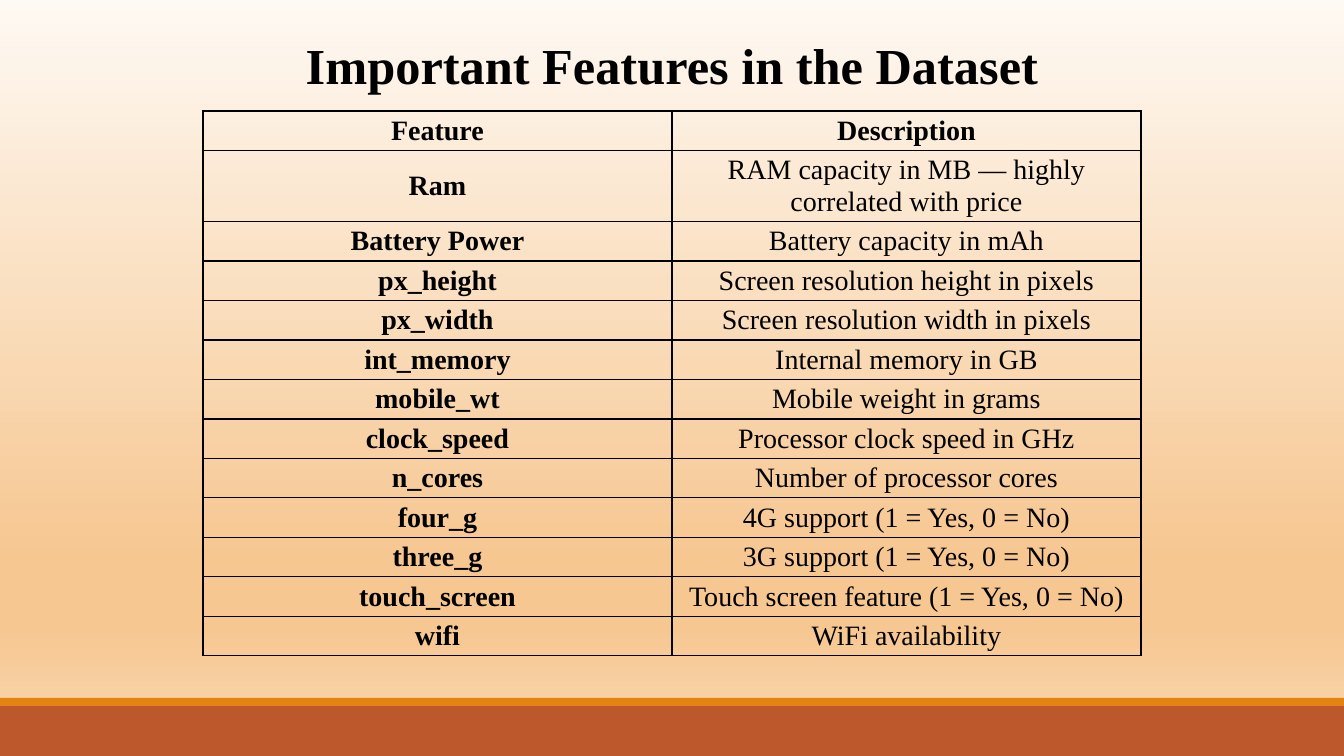
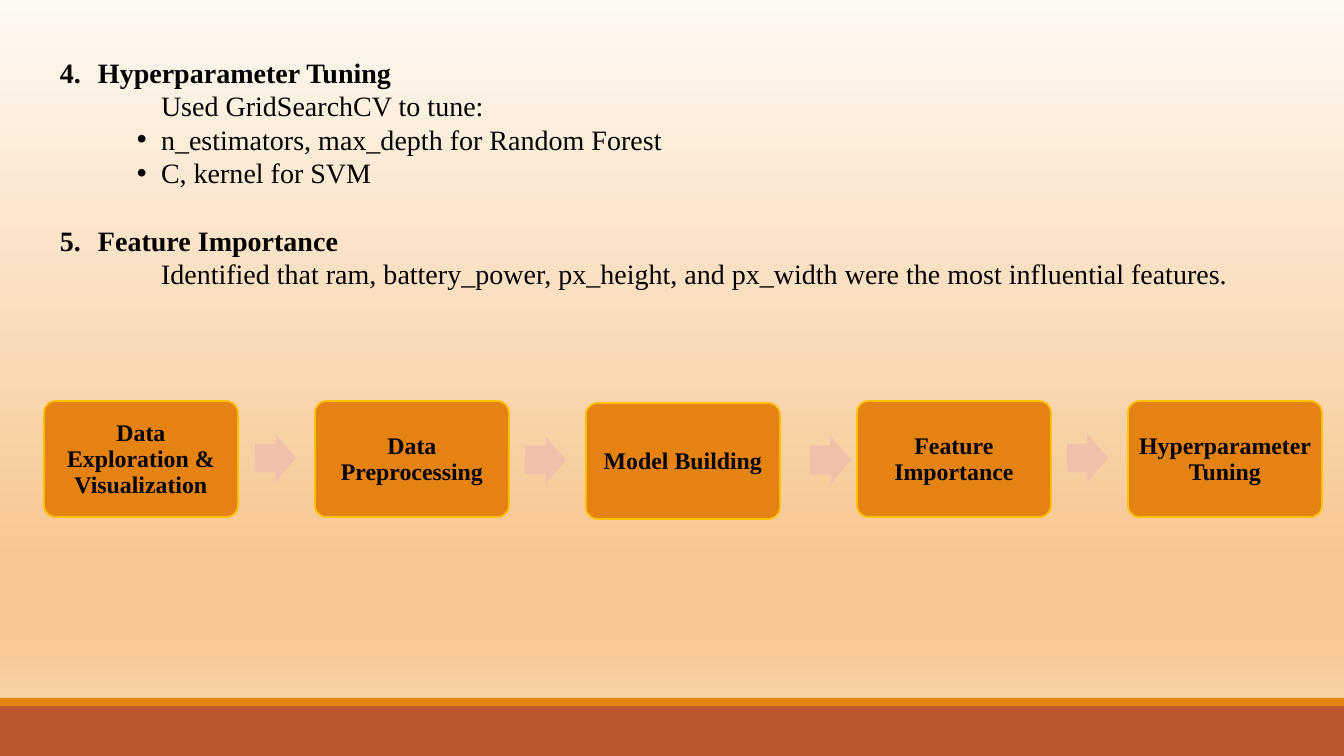
from dataclasses import dataclass

from lxml import etree
from pptx import Presentation
from pptx.dml.color import RGBColor
from pptx.enum.shapes import MSO_SHAPE
from pptx.enum.text import MSO_ANCHOR, MSO_AUTO_SIZE, PP_ALIGN
from pptx.oxml.ns import qn
from pptx.util import Emu, Pt

RECT = MSO_SHAPE.RECTANGLE
ROUNDED = MSO_SHAPE.ROUNDED_RECTANGLE
ARROW = MSO_SHAPE.RIGHT_ARROW
MIDDLE = MSO_ANCHOR.MIDDLE
CENTER = PP_ALIGN.CENTER
NO_AUTOSIZE = MSO_AUTO_SIZE.NONE

FONT = "Times New Roman"
BLACK = RGBColor(0x00, 0x00, 0x00)
BRICK = RGBColor(0xBD, 0x58, 0x2C)
ORANGE = RGBColor(0xE4, 0x83, 0x12)
GOLD = RGBColor(0xFF, 0xC0, 0x00)
PINK = RGBColor(0xEF, 0xC1, 0xAB)
CREAM = RGBColor(0xFE, 0xF9, 0xF3)
PEACH = RGBColor(0xF6, 0xC7, 0x91)
SAND = RGBColor(0xF9, 0xDA, 0xB6)
BACKGROUND_STOPS = [(0, CREAM), (74, PEACH), (83, PEACH), (100, SAND)]

SLIDE_W, SLIDE_H = 1344, 756
TITLE_ONLY, BLANK = 5, 6


@dataclass(frozen=True)
class Band:
    top: int
    height: int
    color: RGBColor


@dataclass(frozen=True)
class OutlineItem:
    text: str
    number: int = 0
    bullet: bool = False
    space_before: int = 0


@dataclass(frozen=True)
class Step:
    label: str
    top: int = 401
    arrow_gap: int = 0
    arrow_top: int = 434
    arrow_rotation: float = 0


BANDS = [Band(706, 50, BRICK), Band(698, 8, ORANGE)]

FEATURES = [
    ("Feature", "Description"),
    ("Ram", "RAM capacity in MB — highly correlated with price"),
    ("Battery Power", "Battery capacity in mAh"),
    ("px_height", "Screen resolution height in pixels"),
    ("px_width", "Screen resolution width in pixels"),
    ("int_memory", "Internal memory in GB"),
    ("mobile_wt", "Mobile weight in grams"),
    ("clock_speed", "Processor clock speed in GHz"),
    ("n_cores", "Number of processor cores"),
    ("four_g", "4G support (1 = Yes, 0 = No)"),
    ("three_g", "3G support (1 = Yes, 0 = No)"),
    ("touch_screen", "Touch screen feature (1 = Yes, 0 = No)"),
    ("wifi", "WiFi availability"),
]

OUTLINE = [
    OutlineItem("Hyperparameter Tuning", number=4),
    OutlineItem("Used GridSearchCV to tune:"),
    OutlineItem("n_estimators, max_depth for Random Forest", bullet=True),
    OutlineItem("C, kernel for SVM", bullet=True),
    OutlineItem("Feature Importance", number=5, space_before=24),
    OutlineItem("Identified that ram, battery_power, px_height, and px_width "
                "were the most influential features."),
]

STEPS = [
    Step("Data Exploration & Visualization", arrow_gap=17),
    Step("Data Preprocessing", arrow_gap=16, arrow_top=436, arrow_rotation=0.4),
    Step("Model Building", top=403, arrow_gap=30, arrow_top=436, arrow_rotation=359.6),
    Step("Feature Importance", arrow_gap=16),
    Step("Hyperparameter Tuning"),
]


def px(n: int) -> Emu:
    return Emu(round(n * 12192000 / SLIDE_W))


def box(left: int, top: int, width: int, height: int) -> tuple:
    return px(left), px(top), px(width), px(height)


def set_margins(target, horizontal: int, vertical: int) -> None:
    target.margin_left = target.margin_right = px(horizontal)
    target.margin_top = target.margin_bottom = px(vertical)


def format_paragraph(p, size: int, bold: bool, spacing=None, align=None) -> None:
    p.alignment = align
    p.line_spacing = spacing
    for r in p.runs:
        r.font.name = FONT
        r.font.size = Pt(size)
        r.font.bold = bold
        r.font.color.rgb = BLACK


def add_filled(s, kind, bounds: tuple, color: RGBColor, adjustments=()):
    sp = s.shapes.add_shape(kind, *bounds)
    sp.shadow.inherit = False
    sp.fill.solid()
    sp.fill.fore_color.rgb = color
    sp.line.fill.background()
    for i, value in enumerate(adjustments):
        sp.adjustments[i] = value
    return sp


def style_master(prs, s) -> None:
    master = prs.slide_master
    fill = master.background.fill
    fill.gradient()
    fill.gradient_angle = 270
    stops = master.element.find(".//" + qn("a:gsLst"))
    for stop in list(stops):
        stops.remove(stop)
    for percent, color in BACKGROUND_STOPS:
        stop = etree.SubElement(stops, qn("a:gs"), pos=str(percent * 1000))
        etree.SubElement(stop, qn("a:srgbClr"), val=str(color))
    tree = master.element.find(".//" + qn("p:spTree"))
    for i, band in enumerate(BANDS):
        sp = add_filled(s, RECT, box(0, band.top, SLIDE_W, band.height), band.color)
        tree.insert(2 + i, sp.element)


def add_title(s, text: str) -> None:
    sp = s.shapes.title
    sp.left, sp.top, sp.width, sp.height = box(272, 0, 800, 128)
    tf = sp.text_frame
    tf.text = text
    tf.auto_size = NO_AUTOSIZE
    tf.vertical_anchor = MIDDLE
    set_margins(tf, 10, 0)
    format_paragraph(tf.paragraphs[0], 36, True, 1.0, CENTER)


def set_borders(cell) -> None:
    tc_pr = cell._tc.get_or_add_tcPr()
    for i, side in enumerate(("a:lnL", "a:lnR", "a:lnT", "a:lnB")):
        ln = etree.Element(qn(side), w=str(Pt(1)))
        fill = etree.SubElement(ln, qn("a:solidFill"))
        etree.SubElement(fill, qn("a:srgbClr"), val=str(BLACK))
        tc_pr.insert(i, ln)


def add_feature_table(s) -> None:
    row_h = 39
    frame = s.shapes.add_table(len(FEATURES), 2,
                               *box(203, 111, 938, row_h * len(FEATURES)))
    table = frame.table
    table.first_row = table.horz_banding = False
    for i, row in enumerate(FEATURES):
        for j, text in enumerate(row):
            cell = table.cell(i, j)
            cell.text = text
            cell.fill.background()
            cell.vertical_anchor = MIDDLE
            set_margins(cell, 8, 4)
            format_paragraph(cell.text_frame.paragraphs[0], 20,
                             i == 0 or j == 0, Pt(22.5), CENTER)
            set_borders(cell)


def set_bullet(p, item: OutlineItem) -> None:
    p_pr = p._p.get_or_add_pPr()
    margin, indent = (88, -38) if item.number else (151, -24 if item.bullet else 0)
    p_pr.set("marL", str(px(margin)))
    p_pr.set("indent", str(px(indent)))
    if item.number:
        etree.SubElement(p_pr, qn("a:buFont"), typeface="+mj-lt")
        etree.SubElement(p_pr, qn("a:buAutoNum"), type="arabicPeriod",
                         startAt=str(item.number))
    elif item.bullet:
        etree.SubElement(p_pr, qn("a:buFont"), typeface="Arial")
        etree.SubElement(p_pr, qn("a:buChar"), char="•")
    else:
        etree.SubElement(p_pr, qn("a:buNone"))


def add_outline(s) -> None:
    tf = s.shapes.add_textbox(*box(0, 55, SLIDE_W, 243)).text_frame
    tf.word_wrap = True
    set_margins(tf, 10, 0)
    for i, item in enumerate(OUTLINE):
        p = tf.add_paragraph() if i else tf.paragraphs[0]
        p.text = item.text
        p.level = 1 if item.number else 3
        format_paragraph(p, 20, item.number > 0, Pt(24))
        p.space_before = Pt(item.space_before)
        set_bullet(p, item)


def add_flow(s) -> None:
    left, pitch, width, height = 44, 271, 194, 116
    for i, step in enumerate(STEPS):
        x = left + i * pitch
        sp = add_filled(s, ROUNDED, box(x, step.top, width, height), ORANGE, [0.1])
        sp.line.color.rgb = GOLD
        sp.line.width = Pt(1.25)
        tf = sp.text_frame
        tf.text = step.label
        tf.word_wrap = True
        tf.vertical_anchor = MIDDLE
        set_margins(tf, 6, 7)
        format_paragraph(tf.paragraphs[0], 17, True, Pt(18.5), CENTER)
        if step.arrow_gap:
            arrow = add_filled(s, ARROW,
                               box(x + width + step.arrow_gap, step.arrow_top, 41, 48),
                               PINK, [0.6, 0.5])
            arrow.rotation = step.arrow_rotation


def main() -> None:
    prs = Presentation()
    prs.slide_width, prs.slide_height = px(SLIDE_W), px(SLIDE_H)

    s = prs.slides.add_slide(prs.slide_layouts[TITLE_ONLY])
    style_master(prs, s)
    add_title(s, "Important Features in the Dataset")
    add_feature_table(s)

    s = prs.slides.add_slide(prs.slide_layouts[BLANK])
    add_outline(s)
    add_flow(s)

    prs.save("out.pptx")


if __name__ == "__main__":
    main()
